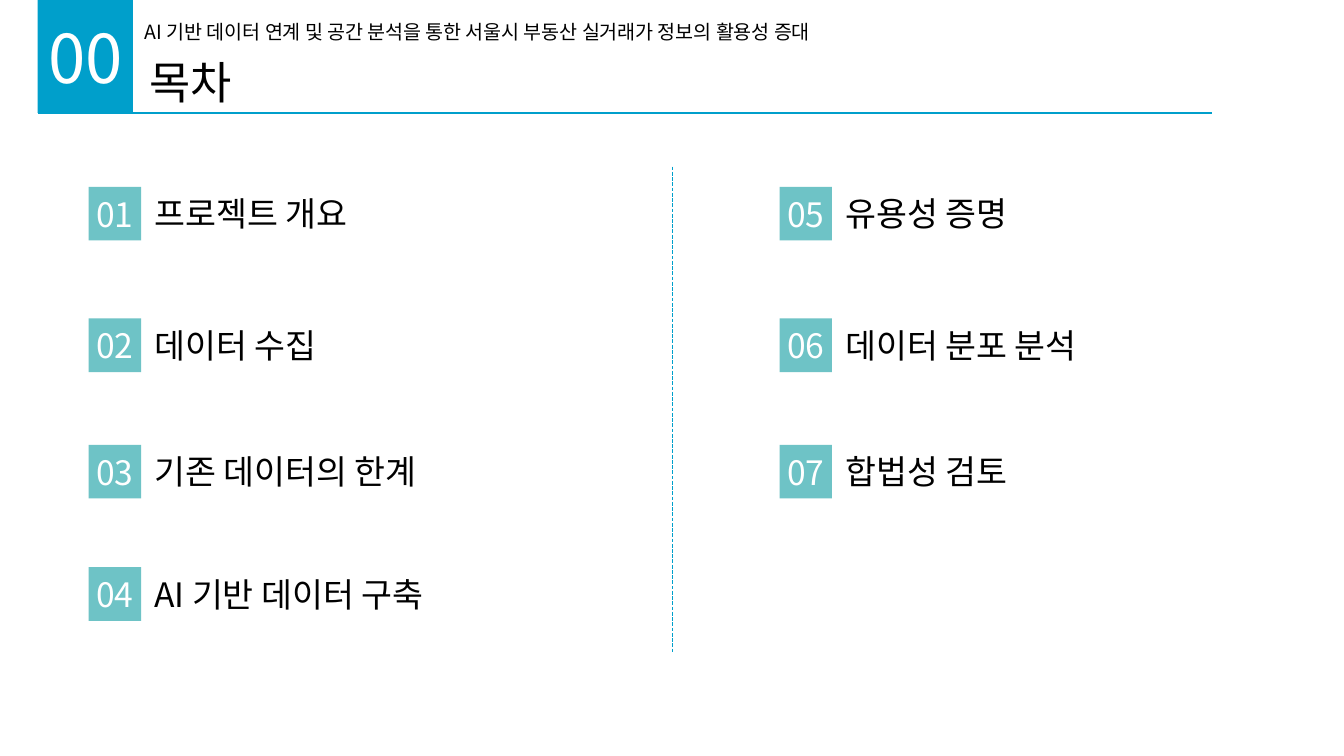
from dataclasses import dataclass

from lxml.etree import SubElement
from pptx import Presentation
from pptx.dml.color import RGBColor
from pptx.enum.dml import MSO_LINE
from pptx.enum.shapes import MSO_CONNECTOR, MSO_SHAPE
from pptx.enum.text import MSO_ANCHOR, MSO_AUTO_SIZE, PP_ALIGN
from pptx.oxml.ns import qn
from pptx.util import Inches, Pt


@dataclass(frozen=True)
class Theme:
    font: str = "Noto Sans CJK KR"
    accent: RGBColor = RGBColor(0x00, 0x9F, 0xCB)
    badge: RGBColor = RGBColor(0x6E, 0xC3, 0xC6)
    ink: RGBColor = RGBColor(0, 0, 0)
    paper: RGBColor = RGBColor(0xFF, 0xFF, 0xFF)
    chapter_pt: float = 36
    title_pt: float = 24
    entry_pt: float = 18
    project_pt: float = 10.5


@dataclass(frozen=True)
class Box:
    left: float
    top: float
    width: float
    height: float

    def lengths(self) -> tuple:
        return tuple(Inches(v) for v in (self.left, self.top, self.width, self.height))


@dataclass(frozen=True)
class Entry:
    label: str
    label_width: float


THEME = Theme()
SLIDE_WIDTH = 10
SLIDE_HEIGHT = SLIDE_WIDTH * 9 / 16
COLUMN_LEFTS = (0.66, 5.8)
ROW_TOPS = (1.39, 2.37, 3.31, 4.22)
BADGE_WIDTH, BADGE_HEIGHT = 0.39, 0.4
ENTRIES = (
    Entry("프로젝트 개요", 1.81),
    Entry("데이터 수집", 2.29),
    Entry("기존 데이터의 한계", 2.4),
    Entry("AI 기반 데이터 구축", 2.47),
    Entry("유용성 증명", 1.55),
    Entry("데이터 분포 분석", 2.15),
    Entry("합법성 검토", 1.55),
)


def write(shape, text: str, size: float, color: RGBColor, align=PP_ALIGN.LEFT, **frame_format) -> None:
    """Put one formatted line of text in a shape."""
    frame = shape.text_frame
    for name, value in frame_format.items():
        setattr(frame, name, value)
    line = frame.paragraphs[0]
    line.alignment = align
    run = line.add_run()
    run.text = text
    for name, value in {"name": THEME.font, "size": Pt(size), "bold": False}.items():
        setattr(run.font, name, value)
    run.font.color.rgb = color
    # Hangul takes the East Asian typeface
    SubElement(run.font._element, qn("a:ea")).set("typeface", THEME.font)


def add_number(slide, box: Box, number: int, fill: RGBColor, size: float) -> None:
    square = slide.shapes.add_shape(MSO_SHAPE.RECTANGLE, *box.lengths())
    square.shadow.inherit = False
    square.fill.solid()
    square.fill.fore_color.rgb = fill
    square.line.fill.background()
    write(square, f"{number:02d}", size, THEME.paper, PP_ALIGN.CENTER,
          vertical_anchor=MSO_ANCHOR.MIDDLE, word_wrap=True,
          margin_left=Inches(0.04), margin_right=Inches(0.04))


def add_label(slide, box: Box, text: str, size: float) -> None:
    label = slide.shapes.add_textbox(*box.lengths())
    write(label, text, size, THEME.ink, word_wrap=True,
          auto_size=MSO_AUTO_SIZE.SHAPE_TO_FIT_TEXT)


def add_rule(slide, start: tuple[float, float], end: tuple[float, float], weight: float, dash=None) -> None:
    rule = slide.shapes.add_connector(
        MSO_CONNECTOR.STRAIGHT, *(Inches(v) for v in (*start, *end)))
    rule.line.color.rgb = THEME.accent
    rule.line.width = Pt(weight)
    if dash is not None:
        rule.line.dash_style = dash
    SubElement(rule._element.spPr, qn("a:effectLst"))


def add_entry(slide, index: int, entry: Entry) -> None:
    column, row = divmod(index, len(ROW_TOPS))
    left, top = COLUMN_LEFTS[column], ROW_TOPS[row]
    add_number(slide, Box(left, top, BADGE_WIDTH, BADGE_HEIGHT), index + 1,
               THEME.badge, THEME.entry_pt)
    add_label(slide, Box(left + BADGE_WIDTH, top, entry.label_width, BADGE_HEIGHT),
              entry.label, THEME.entry_pt)


def main() -> None:
    deck = Presentation()
    deck.slide_width, deck.slide_height = Inches(SLIDE_WIDTH), Inches(SLIDE_HEIGHT)
    slide = deck.slides.add_slide(deck.slide_layouts[5])

    # Header: chapter number, title, project name and rule
    add_number(slide, Box(0.28, 0, 0.71, 0.84), 0, THEME.accent, THEME.chapter_pt)
    title = slide.shapes.title
    title_box = Box(1.01, 0.36, 0.83, 0.5)
    for name, value in zip(("left", "top", "width", "height"), title_box.lengths()):
        setattr(title, name, value)
    write(title, "목차", THEME.title_pt, THEME.ink, word_wrap=False,
          vertical_anchor=MSO_ANCHOR.TOP, auto_size=MSO_AUTO_SIZE.SHAPE_TO_FIT_TEXT)
    add_label(slide, Box(0.98, 0.1, 7.05, 0.28),
              "AI 기반 데이터 연계 및 공간 분석을 통한 서울시 부동산 실거래가 정보의 활용성 증대",
              THEME.project_pt)
    add_rule(slide, (0.28, 0.84), (9.02, 0.84), 0.75)

    # Contents in two columns, filled downwards
    for index, entry in enumerate(ENTRIES):
        add_entry(slide, index, entry)
    add_rule(slide, (5, 1.24), (5, 4.86), 0.25, MSO_LINE.LONG_DASH)

    deck.save("out.pptx")


if __name__ == "__main__":
    main()
